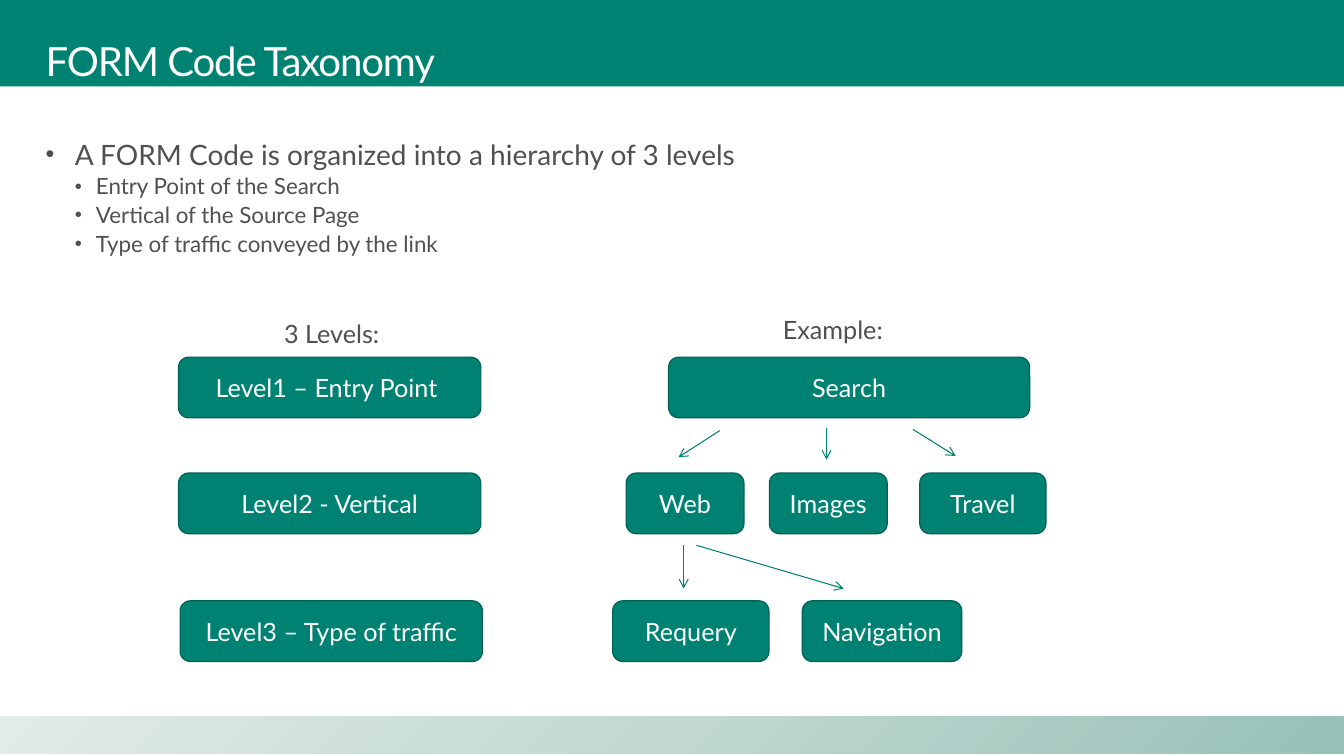
from copy import deepcopy

from lxml.etree import SubElement
from pptx import Presentation
from pptx.dml.color import RGBColor
from pptx.enum.shapes import MSO_CONNECTOR, MSO_SHAPE
from pptx.enum.text import MSO_ANCHOR, MSO_AUTO_SIZE, PP_ALIGN
from pptx.oxml.ns import qn
from pptx.util import Cm, Pt

TEAL = RGBColor(0x00, 0x82, 0x72)
DARK_TEAL = RGBColor(0x00, 0x60, 0x54)
GREY = RGBColor(0x50, 0x50, 0x50)
WHITE = RGBColor(0xFF, 0xFF, 0xFF)
FOOTER_COLOURS = [
    RGBColor(0x98, 0xC1, 0xB7),
    RGBColor(0xC1, 0xD8, 0xD2),
    RGBColor(0xE1, 0xEB, 0xE9),
]

SLIDE_WIDTH, SLIDE_HEIGHT = 33.87, 19.05
CONTENT_LEFT, CONTENT_WIDTH = 0.74, 30.15
BOX_HEIGHT = 1.53
ROW_TOPS = [9.0, 11.92, 15.14]


class SlideBuilder:
    """Holds the text style and the current slide."""

    font_name = "Lato"
    wide_frame = {
        "word_wrap": True,
        "auto_size": MSO_AUTO_SIZE.NONE,
        "vertical_anchor": MSO_ANCHOR.TOP,
        "margin_left": Cm(0.41),
        "margin_right": Cm(0.41),
        "margin_top": Cm(0.25),
        "margin_bottom": Cm(0.25),
    }

    def __init__(self, presentation):
        self.slide = presentation.slides.add_slide(presentation.slide_layouts[5])
        self.shapes = self.slide.shapes

    def apply(self, target, values):
        for name, value in values.items():
            setattr(target, name, value)

    def add_text(self, paragraph, text, size, colour):
        run = paragraph.add_run()
        run.text = text
        self.apply(run.font, {"name": self.font_name, "size": Pt(size)})
        run.font.color.rgb = colour
        return run

    def band(self, top, height, colours):
        shape = self.shapes.add_shape(
            MSO_SHAPE.RECTANGLE, 0, Cm(top), Cm(SLIDE_WIDTH), Cm(height))
        shape.shadow.inherit = False
        shape.line.fill.background()
        if len(colours) == 1:
            shape.fill.solid()
            shape.fill.fore_color.rgb = colours[0]
        else:
            shape.fill.gradient()
            shape.fill.gradient_angle = 135
            stop_list = shape._element.spPr.find(".//" + qn("a:gsLst"))
            for _ in colours[2:]:
                stop_list.insert(1, deepcopy(stop_list[0]))
            for index, stop in enumerate(shape.fill.gradient_stops):
                stop.position = index / (len(colours) - 1)
                stop.color.rgb = colours[index]
        # Bands lie behind the title
        self.shapes._spTree.insert(2, shape._element)

    def title(self, text):
        shape = self.shapes.title
        self.apply(shape, {"left": Cm(CONTENT_LEFT), "top": Cm(0.81),
                           "width": Cm(CONTENT_WIDTH), "height": Cm(3.68)})
        self.apply(shape.text_frame, self.wide_frame)
        paragraph = shape.text_frame.paragraphs[0]
        self.apply(paragraph, {"alignment": PP_ALIGN.LEFT, "line_spacing": 0.9})
        run = self.add_text(paragraph, text, 28.7, WHITE)
        run._r.get_or_add_rPr().set("spc", "-80")

    def bullets(self, top, height, items):
        shape = self.shapes.add_textbox(
            Cm(CONTENT_LEFT), Cm(top), Cm(CONTENT_WIDTH), Cm(height))
        frame = shape.text_frame
        self.apply(frame, self.wide_frame)
        # Size, left margin and hanging indent for each level
        level_styles = [(20, 0.74, 0.74), (16, 1.27, 0.53)]
        for index, (level, text) in enumerate(items):
            size, margin, hanging = level_styles[level]
            paragraph = frame.add_paragraph() if index else frame.paragraphs[0]
            self.apply(paragraph, {"level": level, "line_spacing": 0.9})
            if index:
                paragraph.space_before = Pt(size * 0.2)
            properties = paragraph._p.get_or_add_pPr()
            properties.set("marL", str(Cm(margin)))
            properties.set("indent", str(-Cm(hanging)))
            SubElement(properties, qn("a:buSzPct")).set("val", "90000")
            SubElement(properties, qn("a:buFont")).set("typeface", "Arial")
            SubElement(properties, qn("a:buChar")).set("char", "•")
            self.add_text(paragraph, text, size, GREY)

    def label(self, left, top, text):
        shape = self.shapes.add_textbox(Cm(left), Cm(top), Cm(5.92), Cm(1.02))
        shape.text_frame.word_wrap = True
        self.add_text(shape.text_frame.paragraphs[0], text, 18, GREY)

    def box(self, left, top, width, text):
        shape = self.shapes.add_shape(
            MSO_SHAPE.ROUNDED_RECTANGLE, Cm(left), Cm(top), Cm(width), Cm(BOX_HEIGHT))
        shape.shadow.inherit = False
        shape.fill.solid()
        shape.fill.fore_color.rgb = TEAL
        shape.line.color.rgb = DARK_TEAL
        shape.line.width = Pt(0.85)
        self.apply(shape.text_frame, {"word_wrap": True,
                                      "vertical_anchor": MSO_ANCHOR.MIDDLE})
        paragraph = shape.text_frame.paragraphs[0]
        paragraph.alignment = PP_ALIGN.CENTER
        self.add_text(paragraph, text, 18, WHITE)

    def arrow(self, *ends):
        connector = self.shapes.add_connector(
            MSO_CONNECTOR.STRAIGHT, *[Cm(end) for end in ends])
        connector.line.color.rgb = TEAL
        connector.line.width = Pt(0.75)
        properties = connector._element.spPr
        SubElement(properties.find(qn("a:ln")), qn("a:tailEnd")).set("type", "arrow")
        SubElement(properties, qn("a:effectLst"))


def main():
    presentation = Presentation()
    presentation.slide_width = Cm(SLIDE_WIDTH)
    presentation.slide_height = Cm(SLIDE_HEIGHT)
    builder = SlideBuilder(presentation)

    # Header, footer and title
    builder.band(0, 2.18, [TEAL])
    builder.band(18.06, 0.93, FOOTER_COLOURS)
    builder.title("FORM Code Taxonomy")

    # Introduction
    builder.bullets(3.3, 4.01, [
        (0, "A FORM Code is organized into a hierarchy of 3 levels"),
        (1, "Entry Point of the Search"),
        (1, "Vertical of the Source Page"),
        (1, "Type of traffic conveyed by the link"),
    ])

    # Column labels
    builder.label(6.91, 7.9, "3 Levels:")
    builder.label(19.48, 7.8, "Example:")

    # Each row: the level, then its examples (left, width, text)
    rows = [
        [(4.5, 7.62, "Level1 – Entry Point "), (16.85, 9.1, "Search")],
        [(4.5, 7.62, "Level2 - Vertical"), (15.78, 2.97, "Web"),
         (19.39, 2.97, "Images"), (23.18, 3.18, "Travel")],
        [(4.54, 7.62, "Level3 – Type of traffic"), (15.44, 3.94, "Requery"),
         (20.22, 4.02, "Navigation")],
    ]
    for top, boxes in zip(ROW_TOPS, rows):
        for left, width, text in boxes:
            builder.box(left, top, width, text)

    # Arrows between the example levels
    for ends in [
        (18.14, 10.85, 17.1, 11.52),
        (20.83, 10.78, 20.83, 11.58),
        (23.01, 10.82, 24.08, 11.49),
        (17.23, 13.74, 17.23, 14.83),
        (17.55, 13.74, 21.26, 14.83),
    ]:
        builder.arrow(*ends)

    presentation.save("out.pptx")


if __name__ == "__main__":
    main()
